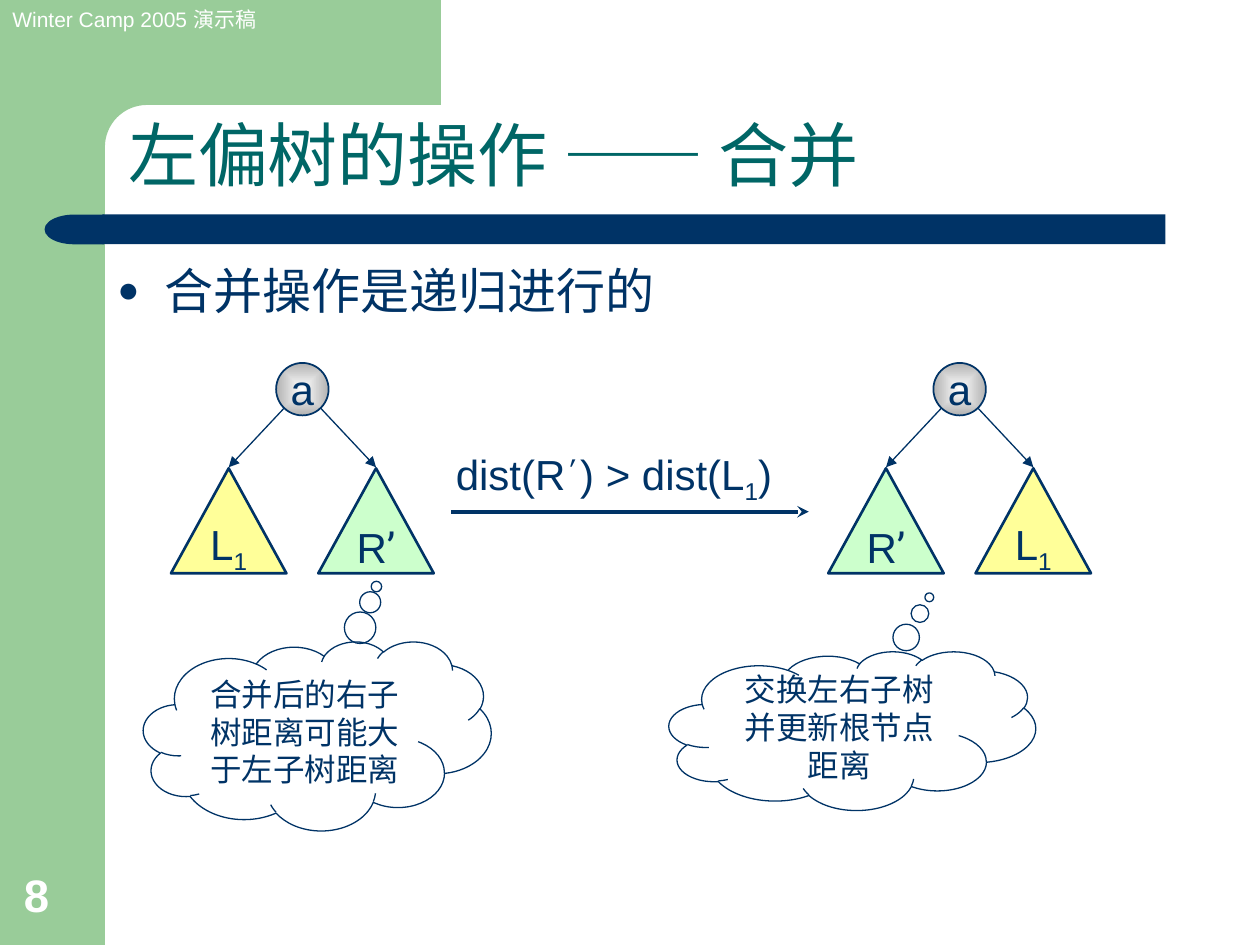
from math import cos, pi, sin

from pptx import Presentation
from pptx.dml.color import RGBColor
from pptx.enum.dml import MSO_FILL
from pptx.enum.shapes import MSO_CONNECTOR, MSO_SHAPE
from pptx.enum.text import MSO_ANCHOR, PP_ALIGN
from pptx.oxml import parse_xml
from pptx.oxml.ns import nsdecls, qn
from pptx.util import Pt

GREEN, NAVY, TEAL, WHITE = "99CC99", "003366", "006666", "FFFFFF"
YELLOW, MINT, GREY = "FFFF99", "CCFFCC", "B2B2B2"
CJK_FONT = "Noto Sans CJK SC"


def paint(shape, fill=None, line=None, width=0.75):
    """Set fill and outline from hex strings; None means no paint."""
    shape.shadow.inherit = False
    for part, color in ((shape.fill, fill), (shape.line.fill, line)):
        if color:
            part.solid()
            part.fore_color.rgb = RGBColor.from_string(color)
        else:
            part.background()
    if line:
        shape.line.width = Pt(width)


def write(shape, *runs, size=24, color=NAVY, bold=False, align=PP_ALIGN.LEFT,
          anchor=MSO_ANCHOR.TOP, wrap=True, line_spacing=None):
    """Write runs, each given as (text, font name, baseline percent)."""
    frame = shape.text_frame
    frame.word_wrap = wrap
    frame.vertical_anchor = anchor
    paragraph = frame.paragraphs[0]
    paragraph.alignment = align
    paragraph.line_spacing = line_spacing
    for text, font_name, baseline in runs:
        run = paragraph.add_run()
        run.text = text
        run.font.size = Pt(size)
        run.font.bold = bold
        run.font.name = font_name
        run.font.color.rgb = RGBColor.from_string(color)
        properties = run.font._element
        properties.append(parse_xml(f'<a:ea {nsdecls("a")} typeface="{CJK_FONT}"/>'))
        if baseline:
            properties.set("baseline", str(baseline * 1000))
    return paragraph


presentation = Presentation()
presentation.slide_width, presentation.slide_height = Pt(720), Pt(540)
slide = presentation.slides.add_slide(presentation.slide_layouts[5])
shapes = slide.shapes

# Green side band and top block with a rounded inner corner
sidebar = shapes.add_shape(MSO_SHAPE.RECTANGLE, 0, 0, Pt(60), Pt(540))
paint(sidebar, GREEN)

radius, steps = 24, 16
corner = [(Pt(84 - radius * sin(pi / 2 * step / steps)),
           Pt(84 - radius * cos(pi / 2 * step / steps))) for step in range(steps + 1)]
builder = shapes.build_freeform(Pt(252), 0)
builder.add_line_segments([(Pt(252), Pt(60)), *corner, (Pt(60), Pt(92)),
                           (Pt(36), Pt(92)), (Pt(36), 0)])
paint(builder.convert_to_shape(), GREEN)

# Navy bar under the title
bar = shapes.add_shape(MSO_SHAPE.RECTANGLE, Pt(58.5), Pt(122.6), Pt(607.5), Pt(17))
paint(bar, NAVY)
bar_end = shapes.add_shape(MSO_SHAPE.FLOWCHART_DELAY, Pt(25.4), Pt(122.6), Pt(34), Pt(17))
bar_end.rotation = 180
paint(bar_end, NAVY)

header = shapes.add_textbox(0, 0, Pt(164), Pt(21.6))
write(header, ("Winter Camp 2005 演示稿", "Arial", 0), size=12, color=WHITE)

page_number = shapes.add_textbox(Pt(6.5), Pt(492), Pt(46), Pt(38))
write(page_number, ("8", "Arial", 0), size=26, color=WHITE, bold=True,
      anchor=MSO_ANCHOR.BOTTOM)

title = shapes.title
title.left, title.top, title.width, title.height = Pt(66), Pt(67), Pt(599), Pt(49)
write(title, ("左偏树的操作 ", "Arial", 0), ("——", CJK_FONT, 0), (" 合并", "Arial", 0),
      size=40, color=TEAL, anchor=MSO_ANCHOR.BOTTOM, line_spacing=0.9)

body = shapes.add_textbox(Pt(60), Pt(145.4), Pt(607), Pt(351))
bullet = write(body, ("合并操作是递归进行的", "Arial", 0), size=28)
bullet_properties = bullet._p.get_or_add_pPr()
bullet_properties.set("marL", str(Pt(27)))
bullet_properties.set("indent", str(-Pt(27)))
for markup in (f'<a:buClr {nsdecls("a")}><a:srgbClr val="{NAVY}"/></a:buClr>',
               f'<a:buSzPct {nsdecls("a")} val="75000"/>',
               f'<a:buFont {nsdecls("a")} typeface="Arial"/>',
               f'<a:buChar {nsdecls("a")} char="●"/>'):
    bullet_properties.append(parse_xml(markup))

# Two trees: the same root, with the subtrees swapped
left_subtree = (YELLOW, [("L", "Arial", 0), ("1", "Arial", -25)])
right_subtree = (MINT, [("R", "Arial", 0), ("’", "Roboto", 0)])
arrows = [((257.8, 292.4), (462.2, 292.4), 2.25, "stealth")]
for center, subtrees in ((172.8, (left_subtree, right_subtree)),
                         (548.4, (right_subtree, left_subtree))):
    root = shapes.add_shape(MSO_SHAPE.OVAL, Pt(center - 15), Pt(207.4), Pt(30), Pt(30))
    paint(root, WHITE, NAVY, 1)
    root.fill.gradient()
    for stop, color in zip(root.fill.gradient_stops, (WHITE, GREY)):
        stop.color.rgb = RGBColor.from_string(color)
    linear = root._element.spPr.find(".//" + qn("a:lin"))
    linear.getparent().replace(linear, parse_xml(
        f'<a:path {nsdecls("a")} path="rect">'
        '<a:fillToRect l="50000" t="50000" r="50000" b="50000"/></a:path>'))
    write(root, ("a", "Arial", 0), align=PP_ALIGN.CENTER,
          anchor=MSO_ANCHOR.MIDDLE, wrap=False)

    for side, (fill, label) in zip((-1, 1), subtrees):
        apex = center + side * 42.1
        triangle = shapes.add_shape(MSO_SHAPE.ISOSCELES_TRIANGLE, Pt(apex - 33),
                                    Pt(267.6), Pt(66), Pt(60))
        paint(triangle, fill, NAVY, 1.5)
        write(triangle, *label, align=PP_ALIGN.CENTER,
              anchor=MSO_ANCHOR.MIDDLE, wrap=False)
        arrows.append(((center + side * 10.6, 233.4), (apex, 267), 0.75, "triangle"))

for start, end, width, head in arrows:
    arrow = shapes.add_connector(MSO_CONNECTOR.STRAIGHT, *map(Pt, start + end))
    arrow.line.color.rgb = RGBColor.from_string(NAVY)
    arrow.line.width = Pt(width)
    arrow.line._get_or_add_ln().append(
        parse_xml(f'<a:tailEnd {nsdecls("a")} type="{head}"/>'))
    arrow._element.spPr.append(parse_xml(f'<a:effectLst {nsdecls("a")}/>'))

condition = shapes.add_textbox(Pt(253.4), Pt(252.7), Pt(195), Pt(40))
write(condition, ("dist(R", "Arial", 0), ("’", "Courier New", 30),
      (") > dist(L", "Arial", 0), ("1", "Arial", -25), (")", "Arial", 0), wrap=False)

# Thought clouds: place, tail position, text
for place, tail, text in (
        ((382.3, 372.2, 209.5, 90.7), (0.21, -0.84), "交换左右子树并更新根节点距离"),
        ((82, 366.5, 198.7, 108), (0.17, -0.79), "合并后的右子树距离可能大于左子树距离")):
    cloud = shapes.add_shape(MSO_SHAPE.CLOUD_CALLOUT, *map(Pt, place))
    cloud.adjustments[0], cloud.adjustments[1] = tail
    paint(cloud, None, NAVY)
    write(cloud, (text, "Arial", 0), size=18, align=PP_ALIGN.CENTER,
          anchor=MSO_ANCHOR.MIDDLE)

presentation.save("out.pptx")
